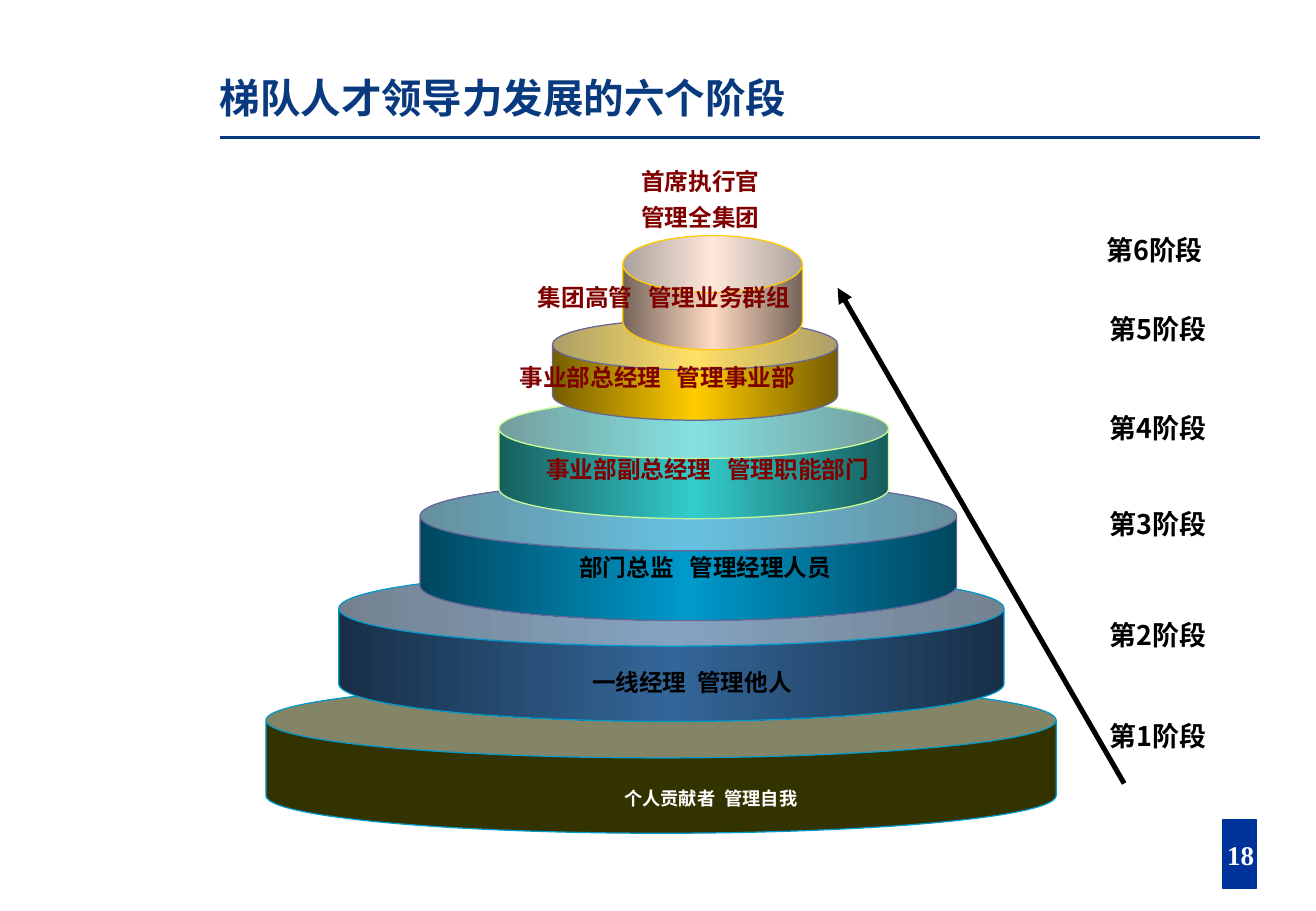
"""Build the slide on the six stages of leadership development."""
from dataclasses import dataclass

from lxml.etree import SubElement
from pptx import Presentation
from pptx.dml.color import RGBColor
from pptx.enum.shapes import MSO_CONNECTOR as Connector, MSO_SHAPE as Shape
from pptx.enum.text import MSO_ANCHOR as Anchor, PP_ALIGN as Align
from pptx.oxml.ns import qn
from pptx.shapes.autoshape import Shape as AutoShape
from pptx.slide import Slide
from pptx.util import Inches, Pt

Area = tuple[float, float, float, float]
Point = tuple[float, float]

CJK_FONT = "Noto Sans CJK SC"
BLACK = RGBColor(0x00, 0x00, 0x00)
WHITE = RGBColor(0xFF, 0xFF, 0xFF)
NAVY = RGBColor(0x09, 0x3A, 0x80)
ROYAL = RGBColor(0x00, 0x33, 0x99)
MAROON = RGBColor(0x80, 0x00, 0x00)
OLIVE = RGBColor(0x33, 0x33, 0x00)
DARK_STEEL = RGBColor(0x18, 0x2F, 0x47)
STEEL = RGBColor(0x33, 0x66, 0x99)
DARK_AZURE = RGBColor(0x00, 0x47, 0x5E)
AZURE = RGBColor(0x00, 0x99, 0xCC)
DARK_TEAL = RGBColor(0x18, 0x5E, 0x5E)
TEAL = RGBColor(0x33, 0xCC, 0xCC)
DARK_GOLD = RGBColor(0x76, 0x5E, 0x00)
GOLD = RGBColor(0xFF, 0xCC, 0x00)
DARK_PEACH = RGBColor(0x76, 0x65, 0x5A)
PEACH = RGBColor(0xFE, 0xDA, 0xC2)
VIOLET = RGBColor(0x66, 0x66, 0x99)
LIME = RGBColor(0xCC, 0xFF, 0x99)


@dataclass(frozen=True)
class Tier:
    """One disc of the pyramid and the place of its stage name."""
    area: Area
    edge: RGBColor
    core: RGBColor
    outline: RGBColor
    stage_at: Point


@dataclass(frozen=True)
class Role:
    """A post, its duty and the extra points of space between them."""
    post: str
    duty: str
    area: Area
    color: RGBColor
    gap: float = 6
    size: float = 14
    spacing: float = 0.75


TIERS = [
    Tier((2.19, 5.62, 6.51, 1.24), OLIVE, OLIVE, AZURE, (8.7, 5.94)),
    Tier((2.79, 4.7, 5.48, 1.24), DARK_STEEL, STEEL, AZURE, (8.7, 5.11)),
    Tier((3.46, 3.96, 4.42, 1.15), DARK_AZURE, AZURE, VIOLET, (8.7, 4.2)),
    Tier((4.11, 3.28, 3.21, 0.99), DARK_TEAL, TEAL, LIME, (8.7, 3.41)),
    Tier((4.55, 2.63, 2.35, 0.83), DARK_GOLD, GOLD, VIOLET, (8.7, 2.59)),
    Tier((5.13, 1.94, 1.48, 0.94), DARK_PEACH, PEACH, GOLD, (8.67, 1.94)),
]

ROLES = [
    Role("个人贡献者", "管理自我", (4.31, 6.55, 3.09, 0.2), WHITE, 3, 10.8, 0.55),
    Role("一线经理", "管理他人", (4.31, 5.55, 2.78, 0.39), BLACK, 3),
    Role("部门总监", "管理经理人员", (4.52, 4.61, 2.58, 0.36), BLACK),
    Role("事业部副总经理", "管理职能部门", (4.11, 3.8, 3.44, 0.26), MAROON),
    Role("事业部总经理", "管理事业部", (3.64, 3.04, 3.55, 0.38), MAROON),
    Role("集团高管", "管理业务群组", (3.54, 2.38, 3.86, 0.26), MAROON),
]


def add_text(page: Slide, text: str, area: Area, *, size: float, color: RGBColor,
             font: str = CJK_FONT, align: Align = Align.CENTER,
             anchor: Anchor = Anchor.TOP, spacing: float = 1,
             before: float = 0, gap: float = 0) -> None:
    """Add bold text, one paragraph a line, widening spaces by gap points."""
    box = page.shapes.add_textbox(*map(Inches, area))
    frame = box.text_frame
    frame.word_wrap = True
    frame.vertical_anchor = anchor
    frame.margin_left = frame.margin_right = 0
    frame.margin_top = frame.margin_bottom = 0
    for number, line in enumerate(text.split("\n")):
        para = frame.add_paragraph() if number else frame.paragraphs[0]
        para.alignment = align
        para.line_spacing = spacing
        if number:
            para.space_before = Pt(before)
        for piece in filter(None, line.partition(" ")):
            span = para.add_run()
            span.text = piece
            span.font.size = Pt(size)
            span.font.bold = True
            span.font.name = font
            span.font.color.rgb = color
            properties = span.font._element
            SubElement(properties, qn("a:ea")).set("typeface", font)
            if piece == " ":
                properties.set("spc", str(round(gap * 100)))


def add_solid(page: Slide, preset: Shape, area: Area, fill: RGBColor,
              outline: RGBColor, weight: float) -> AutoShape:
    """Add a preset shape with a plain fill and an outline."""
    shape = page.shapes.add_shape(preset, *map(Inches, area))
    shape.shadow.inherit = False
    shape.fill.solid()
    shape.fill.fore_color.rgb = fill
    shape.line.color.rgb = outline
    shape.line.width = Pt(weight)
    return shape


def add_tier(page: Slide, tier: Tier) -> None:
    """Add a disc, shaded from its edges to its core."""
    disc = add_solid(page, Shape.CAN, tier.area, tier.core, tier.outline, 0.75)
    disc.adjustments[0] = 0.5
    if tier.edge == tier.core:
        return
    disc.fill.gradient()
    disc.fill.gradient_angle = 0
    stops = disc._element.spPr.find(qn("a:gradFill")).find(qn("a:gsLst"))
    for stop in list(stops):
        stops.remove(stop)
    for percent, color in ((0, tier.edge), (50, tier.core), (100, tier.edge)):
        stop = SubElement(stops, qn("a:gs"), pos=str(percent * 1000))
        SubElement(stop, qn("a:srgbClr"), val=str(color))


def add_line(page: Slide, start: Point, end: Point, color: RGBColor,
             weight: float, arrow: bool = False) -> None:
    """Add a straight line, with an arrowhead at its end if asked."""
    line = page.shapes.add_connector(Connector.STRAIGHT, *map(Inches, start + end))
    line.line.color.rgb = color
    line.line.width = Pt(weight)
    if arrow:
        SubElement(line.line._get_or_add_ln(), qn("a:tailEnd"), type="triangle")
    SubElement(line._element.spPr, qn("a:effectLst"))


def main() -> None:
    """Draw the slide and save it."""
    deck = Presentation()
    deck.slide_width = Inches(10.84)
    deck.slide_height = Inches(7.5)
    page = deck.slides.add_slide(deck.slide_layouts[6])

    add_line(page, (1.81, 1.13), (10.38, 1.13), NAVY, 2)
    add_solid(page, Shape.RECTANGLE, (10.07, 6.75, 0.28, 0.56), ROYAL, ROYAL, 1)
    add_text(page, "18", (9.62, 6.85, 1.2, 0.37), size=16, color=WHITE,
             font="Times New Roman", anchor=Anchor.MIDDLE)
    add_text(page, "梯队人才领导力发展的六个阶段", (1.81, 0.25, 8.57, 0.75), size=24,
             color=NAVY, align=Align.LEFT, anchor=Anchor.BOTTOM, spacing=0.8)

    for tier in TIERS:
        add_tier(page, tier)
    for number, tier in enumerate(TIERS, start=1):
        add_text(page, f"第{number}阶段", (*tier.stage_at, 1.68, 0.51), size=16,
                 color=BLACK, spacing=0.95)
    add_text(page, "首席执行官\n管理全集团", (4.93, 1.43, 1.68, 0.51), size=14,
             color=MAROON, spacing=0.75, before=8.8)
    for role in ROLES:
        add_text(page, f"{role.post} {role.duty}", role.area, size=role.size,
                 color=role.color, spacing=role.spacing, gap=role.gap)
    add_line(page, (9.26, 6.45), (6.9, 2.37), BLACK, 3, arrow=True)

    deck.save("out.pptx")


if __name__ == "__main__":
    main()
